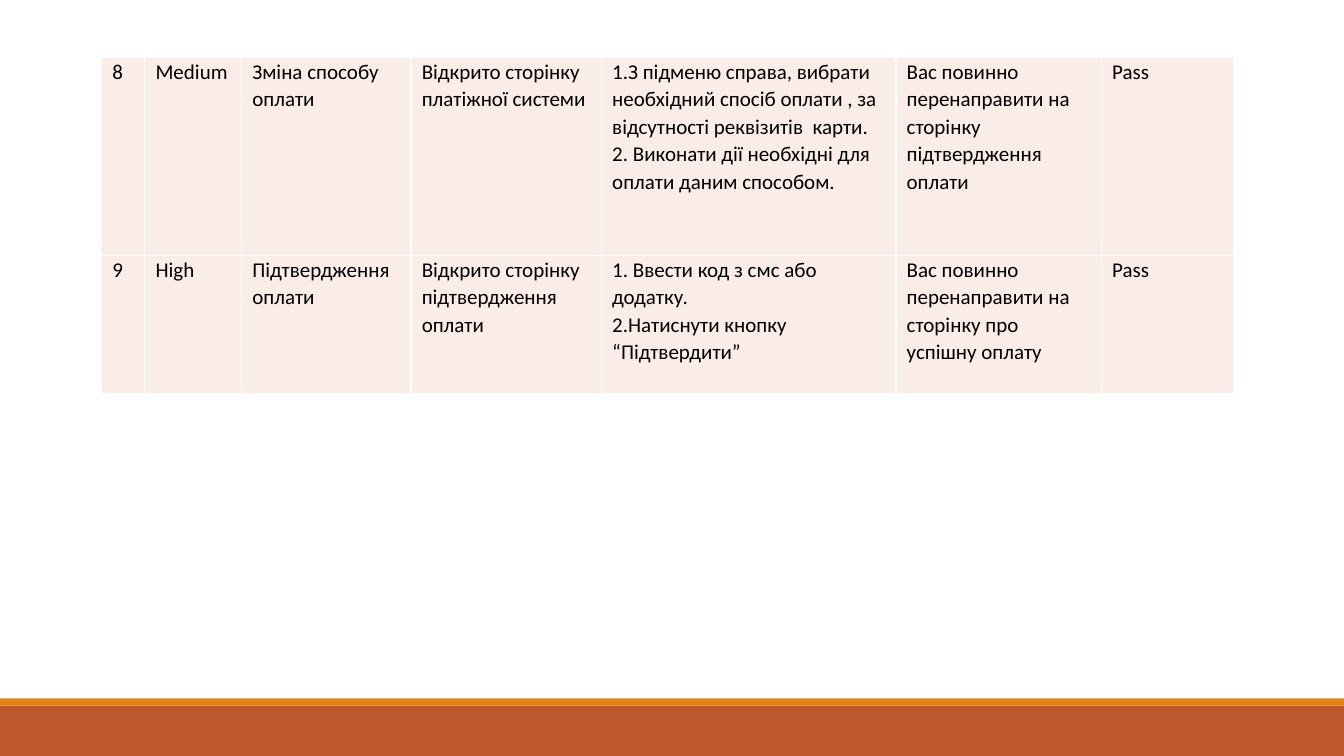
import pptx
import pptx.util
import pptx.dml.color
import pptx.enum.shapes
import pptx.oxml
import pptx.oxml.ns

Cm, Pt = pptx.util.Cm, pptx.util.Pt
RGB = pptx.dml.color.RGBColor

# Content: each cell is text, with one line per paragraph
CASES = [
    ("8", "Medium", "Зміна способу оплати",
     "Відкрито сторінку платіжної системи",
     "1.З підменю справа, вибрати необхідний спосіб оплати , за "
     "відсутності реквізитів  карти.\n"
     "2. Виконати дії необхідні для оплати даним способом.",
     "Вас повинно перенаправити на сторінку підтвердження оплати", "Pass"),
    ("9", "High", "Підтвердження оплати",
     "Відкрито сторінку підтвердження оплати",
     "1. Ввести код з смс або додатку.\n"
     "2.Натиснути кнопку “Підтвердити”",
     "Вас повинно перенаправити на сторінку про успішну оплату", "Pass"),
]

# Sizes in centimetres
WIDE, HIGH = 33.87, 19.05
LEFT, TOP = 2.56, 1.45
COLS = [1.09, 2.44, 4.27, 4.8, 7.42, 5.18, 3.33]
ROWS = [4.99, 3.48]
PAD = 0.27

BLACK = RGB(0x00, 0x00, 0x00)
WHITE = RGB(0xFF, 0xFF, 0xFF)
PINK = RGB(0xFA, 0xED, 0xE7)
RUST = RGB(0xBD, 0x58, 0x2C)
AMBER = RGB(0xE4, 0x83, 0x12)

# Footer bands: top, height, colour
BANDS = [(17.78, 1.27, RUST), (17.6, 0.18, AMBER)]


def add_band(slide, top, height, color):
    band = slide.shapes.add_shape(
        pptx.enum.shapes.MSO_SHAPE.RECTANGLE,
        Cm(0), Cm(top), Cm(WIDE), Cm(height))
    band.shadow.inherit = False
    band.fill.solid()
    band.fill.fore_color.rgb = color
    band.line.fill.background()


def add_edges(cell):
    props = cell._tc.get_or_add_tcPr()
    space = pptx.oxml.ns.nsdecls("a")
    for spot, side in enumerate(("lnL", "lnR", "lnT", "lnB")):
        props.insert(spot, pptx.oxml.parse_xml(
            f'<a:{side} {space} w="{Pt(1)}"><a:solidFill>'
            f'<a:srgbClr val="{WHITE}"/></a:solidFill></a:{side}>'))


def fill_cell(cell, text):
    cell.fill.solid()
    cell.fill.fore_color.rgb = PINK
    cell.margin_left = cell.margin_right = Cm(PAD)
    cell.margin_top = cell.margin_bottom = 0
    cell.text = text
    for para in cell.text_frame.paragraphs:
        para.line_spacing = 1.07
        para.font.name = "Calibri"
        para.font.size = Pt(15)
        para.font.color.rgb = BLACK
    add_edges(cell)


def add_cases(slide):
    frame = slide.shapes.add_table(
        len(ROWS), len(COLS), Cm(LEFT), Cm(TOP), Cm(sum(COLS)), Cm(sum(ROWS)))
    table = frame.table
    table.first_row = table.horz_banding = False
    for col, width in zip(table.columns, COLS):
        col.width = Cm(width)
    for row, height, case in zip(table.rows, ROWS, CASES):
        row.height = Cm(height)
        for cell, text in zip(row.cells, case):
            fill_cell(cell, text)


def main():
    deck = pptx.Presentation()
    deck.slide_width, deck.slide_height = Cm(WIDE), Cm(HIGH)
    slide = deck.slides.add_slide(deck.slide_layouts[6])
    for band in BANDS:
        add_band(slide, *band)
    add_cases(slide)
    deck.save("out.pptx")


if __name__ == "__main__":
    main()
